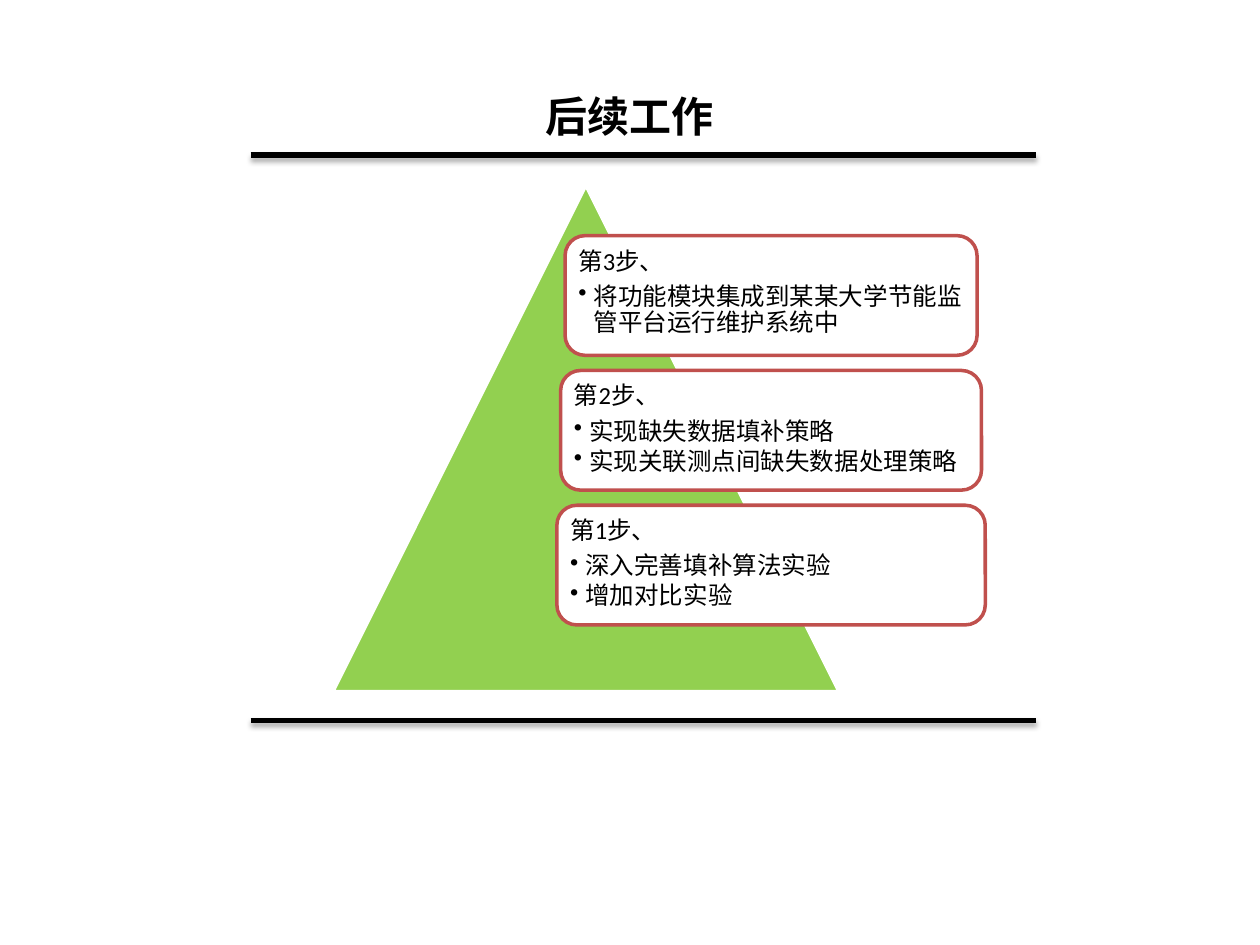
import dataclasses

import lxml.etree
import pptx
import pptx.dml.color
import pptx.enum.shapes
import pptx.enum.text
import pptx.oxml.ns
import pptx.util

Inches = pptx.util.Inches
Pt = pptx.util.Pt
qn = pptx.oxml.ns.qn
ALIGN = pptx.enum.text.PP_ALIGN
ANCHOR = pptx.enum.text.MSO_ANCHOR
SHAPE = pptx.enum.shapes.MSO_SHAPE


@dataclasses.dataclass(frozen=True)
class Theme:
    text: str = "000000"
    paper: str = "FFFFFF"
    triangle: str = "92D050"
    border: str = "C0504D"
    latin_font: str = "Calibri"
    chinese_font: str = "Noto Sans CJK SC"
    title_size: int = 24
    body_size: int = 14
    outline: int = 2
    rule: int = 3


def rgb(value):
    return pptx.dml.color.RGBColor.from_string(value)


def write_text(paragraph, text, *, theme, size, font, bold=False, align=ALIGN.LEFT,
               line_spacing=1.0, space_after=0, bullet=False):
    """Fill one paragraph and format it."""
    paragraph.alignment = align
    paragraph.line_spacing = line_spacing
    paragraph.space_after = Pt(space_after)
    run = paragraph.add_run()
    run.text = text
    run.font.size = Pt(size)
    run.font.bold = bold
    run.font.name = font
    run.font.color.rgb = rgb(theme.text)
    east_asian = lxml.etree.SubElement(run.font._element, qn("a:ea"))
    east_asian.set("typeface", theme.chinese_font)
    if bullet:
        paragraph.level = 1
        properties = paragraph._p.get_or_add_pPr()
        properties.set("marL", str(Inches(0.12)))
        properties.set("indent", str(Inches(-0.12)))
        lxml.etree.SubElement(properties, qn("a:buChar")).set("char", "•")


class SlideBuilder:
    def __init__(self, slide, theme):
        self.slide = slide
        self.theme = theme

    def title(self, text, left, top, width, height):
        box = self.slide.shapes.add_textbox(
            Inches(left), Inches(top), Inches(width), Inches(height))
        frame = box.text_frame
        frame.word_wrap = True
        frame.vertical_anchor = ANCHOR.MIDDLE
        write_text(frame.paragraphs[0], text, theme=self.theme, bold=True,
                   size=self.theme.title_size, font=self.theme.chinese_font,
                   align=ALIGN.CENTER)

    def rule(self, left, right, y):
        line = self.slide.shapes.add_connector(
            pptx.enum.shapes.MSO_CONNECTOR.STRAIGHT,
            Inches(left), Inches(y), Inches(right), Inches(y))
        line.line.color.rgb = rgb(self.theme.text)
        line.line.width = Pt(self.theme.rule)
        # Soft shadow straight below the line
        effects = lxml.etree.SubElement(line._element.spPr, qn("a:effectLst"))
        shadow = lxml.etree.SubElement(
            effects, qn("a:outerShdw"), blurRad=str(Pt(3.1)), dist=str(Pt(1.8)),
            dir="5400000", rotWithShape="0")
        color = lxml.etree.SubElement(shadow, qn("a:srgbClr"), val=self.theme.text)
        lxml.etree.SubElement(color, qn("a:alpha"), val="35000")

    def shape(self, kind, left, top, width, height, fill, line):
        shape = self.slide.shapes.add_shape(
            kind, Inches(left), Inches(top), Inches(width), Inches(height))
        shape.shadow.inherit = False
        shape.fill.solid()
        shape.fill.fore_color.rgb = rgb(fill)
        shape.line.color.rgb = rgb(line)
        shape.line.width = Pt(self.theme.outline)
        return shape

    def step(self, heading, items, left, top, width, height):
        theme = self.theme
        card = self.shape(SHAPE.ROUNDED_RECTANGLE, left, top, width, height,
                          theme.paper, theme.border)
        frame = card.text_frame
        frame.word_wrap = True
        frame.vertical_anchor = ANCHOR.TOP
        frame.margin_left = frame.margin_right = Inches(0.06)
        frame.margin_top = frame.margin_bottom = Inches(0.06)
        body = dict(theme=theme, size=theme.body_size, font=theme.latin_font,
                    line_spacing=0.9)
        write_text(frame.paragraphs[0], heading, space_after=4.9, **body)
        for item in items:
            write_text(frame.add_paragraph(), item, space_after=2.1, bullet=True, **body)


STEPS = [
    ("第3步、", 3.27, ["将功能模块集成到某某大学节能监管平台运行维护系统中"]),
    ("第2步、", 3.34, ["实现缺失数据填补策略", "实现关联测点间缺失数据处理策略"]),
    ("第1步、", 3.4, ["深入完善填补算法实验", "增加对比实验"]),
]


def main():
    presentation = pptx.Presentation()
    presentation.slide_width = Inches(10)
    presentation.slide_height = Inches(7.5)
    theme = Theme()
    slide = presentation.slides.add_slide(presentation.slide_layouts[6])
    builder = SlideBuilder(slide, theme)

    # Title and the rules that frame the content
    builder.title("后续工作", 0.75, 0.6, 8.5, 0.63)
    for y in (1.23, 5.72):
        builder.rule(1.99, 8.22, y)

    # Pyramid behind the steps
    builder.shape(SHAPE.ISOSCELES_TRIANGLE, 2.64, 1.47, 4.02, 4.02,
                  theme.triangle, theme.paper)

    # Step cards, centred on one axis and widening downwards
    center, first_top, pitch, height = 6.12, 1.87, 1.07, 0.95
    for index, (heading, width, items) in enumerate(STEPS):
        builder.step(heading, items, center - width / 2,
                     first_top + index * pitch, width, height)

    presentation.save("out.pptx")


if __name__ == "__main__":
    main()
